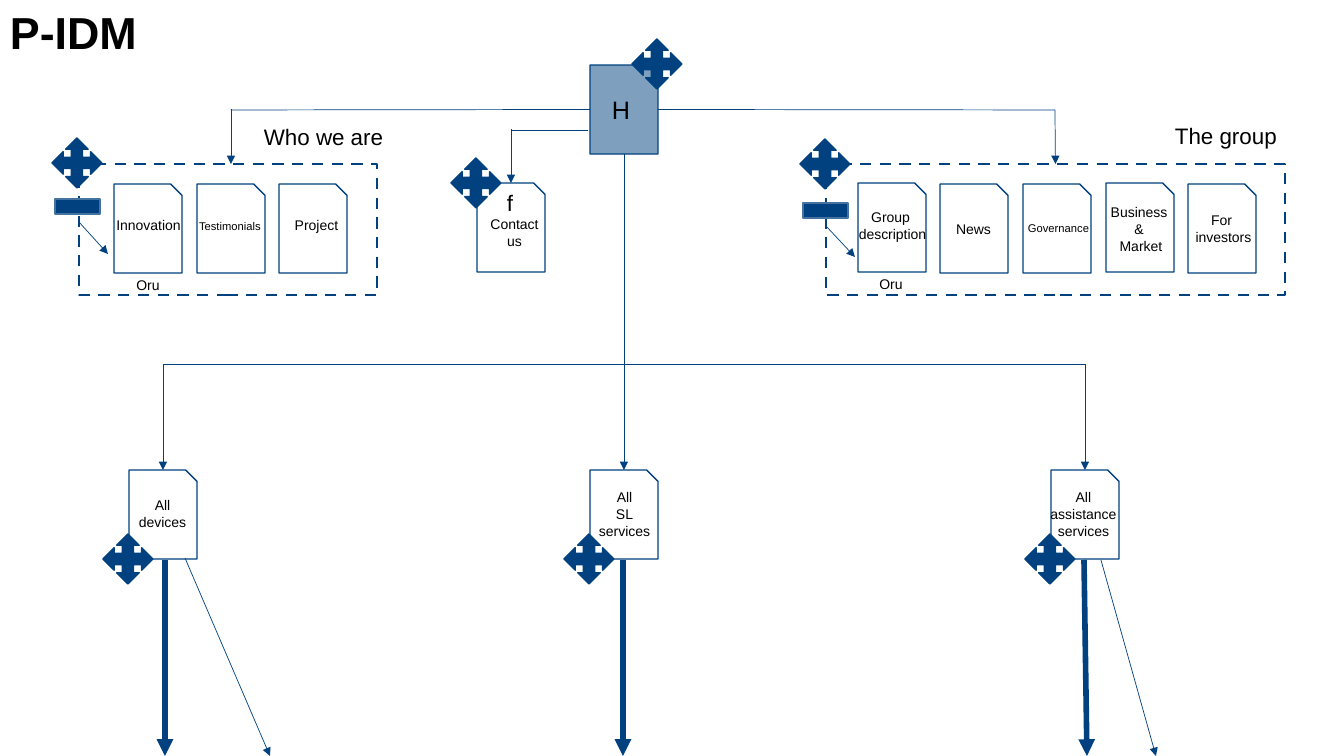
from lxml import etree
from pptx import Presentation
from pptx.dml.color import RGBColor
from pptx.enum.dml import MSO_LINE_DASH_STYLE as DASH
from pptx.enum.shapes import MSO_CONNECTOR, MSO_SHAPE as SHAPE
from pptx.enum.text import MSO_AUTO_SIZE as AUTO_SIZE, PP_ALIGN as ALIGN
from pptx.oxml.ns import qn
from pptx.util import Pt

PX = 914400 / 100.8
BLUE = "01417F"
CARD_WIDTH, CARD_HEIGHT = 68, 89
TOP, LEFT, BOTTOM, RIGHT = range(4)

presentation = Presentation()
presentation.slide_width = round(1344 * PX)
presentation.slide_height = round(756 * PX)
slide = presentation.slides.add_slide(presentation.slide_layouts[6])


def emu(*lengths):
    return [round(length * PX) for length in lengths]


def color(value):
    return RGBColor.from_string(value)


def add_text(text, left, top, width, height, size=10, bold=False, align=ALIGN.LEFT, wrap=False):
    box = slide.shapes.add_textbox(*emu(left, top, width, height))
    frame = box.text_frame
    frame.word_wrap = wrap
    frame.auto_size = AUTO_SIZE.SHAPE_TO_FIT_TEXT
    frame.text = text
    for paragraph in frame.paragraphs:
        paragraph.alignment = align
        paragraph.font.name = "Arial"
        paragraph.font.size = Pt(size)
        paragraph.font.bold = bold
        paragraph.font.color.rgb = color("000000")


def add_box(kind, left, top, width, height, fill=None, line=BLUE, weight=1):
    shape = slide.shapes.add_shape(kind, *emu(left, top, width, height))
    shape.shadow.inherit = False
    if fill:
        shape.fill.solid()
        shape.fill.fore_color.rgb = color(fill)
    else:
        shape.fill.background()
    shape.line.color.rgb = color(line)
    shape.line.width = Pt(weight)
    return shape


add_text("P-IDM", 0, 0, 1344, 64, size=32, bold=True, wrap=True)

home = add_box(SHAPE.SNIP_1_RECTANGLE, 590, 65, CARD_WIDTH, CARD_HEIGHT, fill=BLUE)
home_color = home.fill._xPr.find(qn("a:solidFill"))[0]
etree.SubElement(home_color, qn("a:alpha")).set("val", "50000")
add_text("H", 602, 89, 42, 40, size=18, wrap=True)

groups = {}
for name, left, width in [("who", 79, 298), ("group", 826, 459)]:
    groups[name] = add_box(SHAPE.RECTANGLE, left, 164, width, 131, weight=2)
    groups[name].line.dash_style = DASH.DASH

card_rows = [
    (114, 184, "Innovation", 10, 106, 212, 85),
    (197, 184, "Testimonials", 8, 188, 214, 84),
    (279, 184, "Project", 10, 284, 212, 65),
    (858, 183, "Group \ndescription", 10, 848, 204, 89),
    (940, 184, "News", 10, 946, 216, 55),
    (1023, 184, "Governance", 8, 1017, 216, 83),
    (1106, 183, "Business \n& \nMarket", 10, 1100, 199, 82),
    (1188, 184, "For \ninvestors", 10, 1185, 207, 77),
    (477, 183, "Contact\nus", 10, 480, 211, 69),
    (129, 470, "All\ndevices", 10, 128, 492, 69),
    (590, 470, "All\nSL\nservices", 10, 588, 484, 73),
    (1051, 470, "All\nassistance\nservices", 10, 1040, 484, 87),
]
cards = {}
for left, top, label, size, text_left, text_top, text_width in card_rows:
    cards[label] = add_box(SHAPE.SNIP_1_RECTANGLE, left, top, CARD_WIDTH, CARD_HEIGHT)
    text_height = 10 + 17 * (label.count("\n") + 1)
    add_text(label, text_left, text_top, text_width, text_height, size=size, align=ALIGN.CENTER)

add_text("Who we are", 254, 118, 141, 37, size=16)
add_text("The group", 1165, 117, 123, 37, size=16)
for left, top in [(122, 272), (865, 271)]:
    add_text("Oru", left, top, 52, 27, align=ALIGN.CENTER)
add_text("f", 497, 184, 27, 37, size=16)

for left, top in [(632, 39), (800, 139), (52, 138), (451, 158), (103, 534), (564, 534), (1025, 534)]:
    add_box(SHAPE.QUAD_ARROW, left, top, 50, 50, fill=BLUE)
for left, top in [(55, 199), (803, 203)]:
    add_box(SHAPE.RECTANGLE, left, top, 45, 15, fill=BLUE, line="43739E")

devices, services, assistance = list(cards.values())[-3:]
contact = cards["Contact\nus"]
links = [
    ((590, 109), (231, 110), 0.5, False, (home, LEFT), None),
    ((658, 110), (1055, 110), 0.5, False, (home, RIGHT), None),
    ((231, 109), (231, 164), 0.5, True, None, None),
    ((1055, 110), (1055, 164), 0.5, True, None, (groups["group"], TOP)),
    ((588, 130), (511, 130), 0.5, False, None, None),
    ((511, 129), (511, 183), 0.5, True, None, (contact, TOP)),
    ((624, 154), (624, 364), 0.5, False, (home, BOTTOM), None),
    ((624, 364), (163, 364), 0.5, False, None, None),
    ((1085, 364), (624, 364), 0.5, False, None, None),
    ((163, 364), (163, 470), 0.5, True, None, (devices, TOP)),
    ((624, 364), (624, 470), 0.5, True, None, (services, TOP)),
    ((1085, 364), (1085, 470), 0.5, True, None, (assistance, TOP)),
    ((165, 560), (165, 756), 4, True, None, None),
    ((623, 560), (623, 756), 4, True, None, None),
    ((1084, 560), (1087, 756), 4, True, None, None),
    ((79, 222), (108, 254), 0.5, True, None, None),
    ((826, 226), (855, 257), 0.5, True, None, None),
    ((185, 558), (270, 756), 0.5, True, None, None),
    ((1101, 560), (1156, 756), 0.5, True, None, None),
]
for start, end, weight, has_arrow, begin_joint, end_joint in links:
    connector = slide.shapes.add_connector(MSO_CONNECTOR.STRAIGHT, *emu(*start, *end))
    if begin_joint:
        connector.begin_connect(*begin_joint)
    if end_joint:
        connector.end_connect(*end_joint)
    connector.line.color.rgb = color(BLUE)
    connector.line.width = Pt(weight)
    if has_arrow:
        line = connector.line._get_or_add_ln()
        etree.SubElement(line, qn("a:tailEnd")).set("type", "triangle")
    etree.SubElement(connector._element.spPr, qn("a:effectLst"))

presentation.save("out.pptx")
